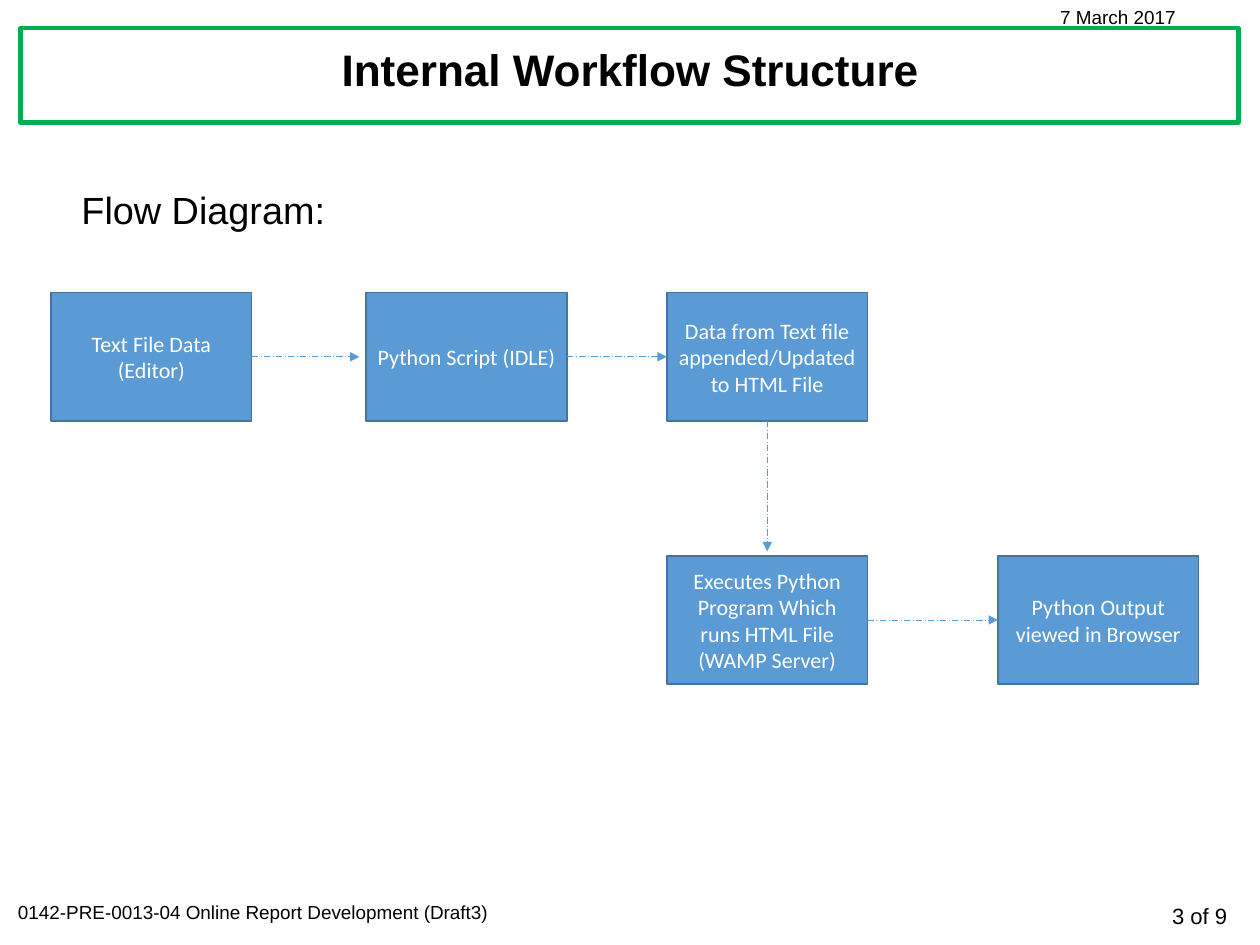
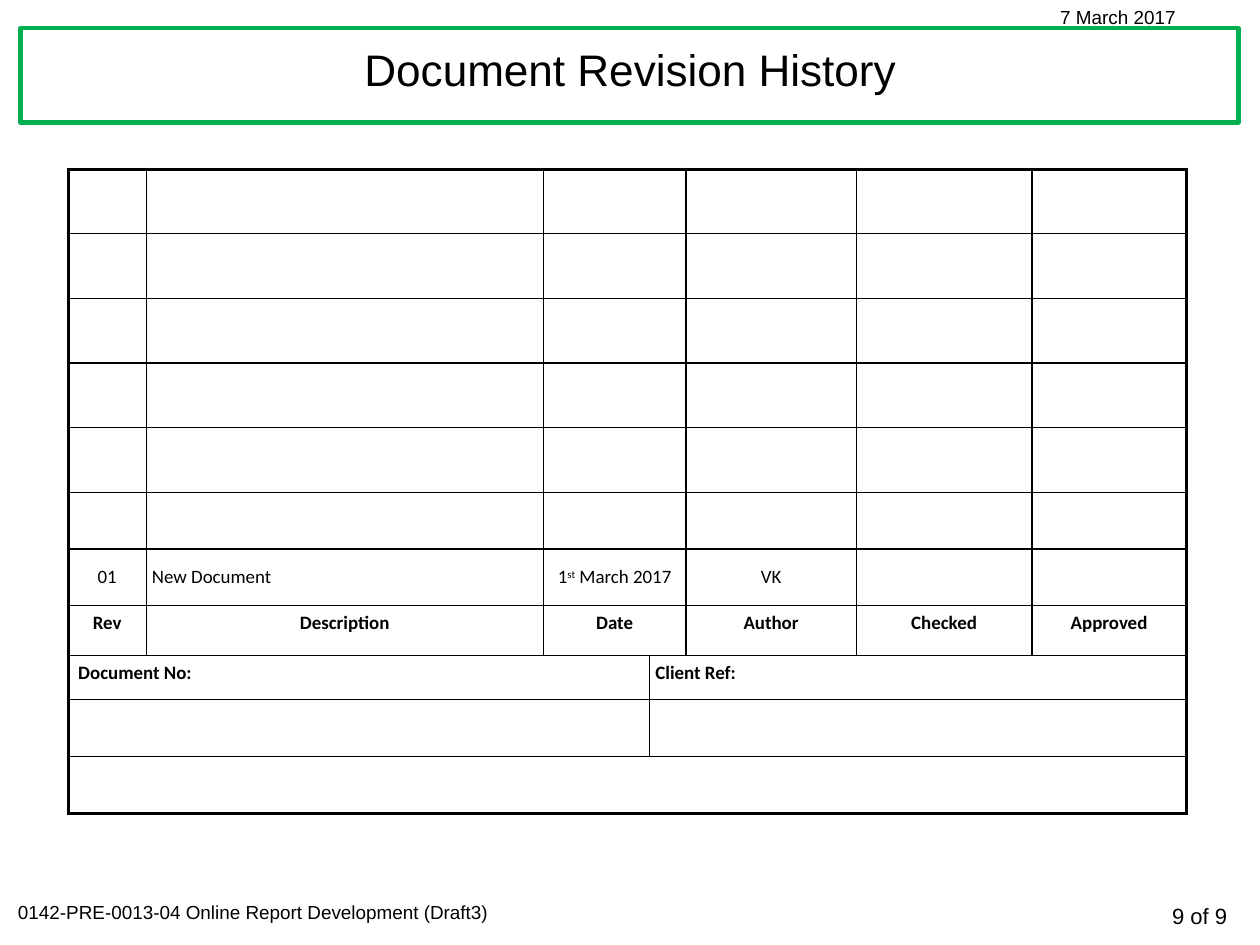
from lxml import etree
from pptx import Presentation
from pptx.dml.color import RGBColor
from pptx.enum.dml import MSO_LINE
from pptx.enum.shapes import MSO_CONNECTOR, MSO_SHAPE
from pptx.enum.text import MSO_ANCHOR, PP_ALIGN
from pptx.oxml import parse_xml
from pptx.oxml.ns import nsdecls, qn
from pptx.util import Inches, Pt

BLACK, WHITE = "000000", "FFFFFF"
GREEN, BLUE, DARK_BLUE = "00B050", "5B9BD5", "43739E"
LEFT, CENTER, RIGHT = PP_ALIGN.LEFT, PP_ALIGN.CENTER, PP_ALIGN.RIGHT
TITLE_ONLY = 5
rgb = RGBColor.from_string


def write(text_frame, text, size=12, font="Arial", color=BLACK, bold=False,
          align=LEFT, anchor=MSO_ANCHOR.TOP, superscript=False):
    """Append a formatted run to the first paragraph of a text frame."""
    text_frame.vertical_anchor = anchor
    paragraph = text_frame.paragraphs[0]
    paragraph.alignment = align
    run = paragraph.add_run()
    run.text = text
    run.font.size = Pt(size)
    run.font.name = font
    run.font.bold = bold
    run.font.color.rgb = rgb(color)
    if superscript:
        run.font._element.set("baseline", "30000")


def add_rectangle(slide, left, top, width, height, fill, line, line_width):
    shape = slide.shapes.add_shape(MSO_SHAPE.RECTANGLE, Inches(left), Inches(top),
                                   Inches(width), Inches(height))
    shape.shadow.inherit = False
    shape.fill.solid()
    shape.fill.fore_color.rgb = rgb(fill)
    shape.line.color.rgb = rgb(line)
    shape.line.width = Pt(line_width)
    return shape


presentation = Presentation()
presentation.slide_width = Inches(11.11)
presentation.slide_height = Inches(8.33)

# Title, frame, date and footers on every slide
slides = []
for title_text, bold, page in [("Internal Workflow Structure", True, 3),
                               ("Document Revision History", False, 9)]:
    slide = presentation.slides.add_slide(presentation.slide_layouts[TITLE_ONLY])
    slides.append(slide)
    title = slide.shapes.title
    title.left, title.top = Inches(0.21), Inches(0.22)
    title.width, title.height = Inches(10.69), Inches(0.83)
    write(title.text_frame, title_text, size=28, bold=bold, align=CENTER,
          anchor=MSO_ANCHOR.MIDDLE)
    title.text_frame.paragraphs[0].line_spacing = 0.9
    frame = add_rectangle(slide, 0.18, 0.25, 10.74, 0.83, WHITE, GREEN, 2.75)
    title.element.addprevious(frame.element)

    for text, left, top, width, height, size, align in [
        (f"{page} of 9", 9.4, 7.91, 1.52, 0.34, 14, RIGHT),
        ("0142-PRE-0013-04 Online Report Development (Draft3)",
         0.06, 7.89, 4.38, 0.3, 12, LEFT),
        ("7 March 2017", 9.25, 0, 1.68, 0.3, 12, LEFT),
    ]:
        label = slide.shapes.add_textbox(Inches(left), Inches(top),
                                         Inches(width), Inches(height))
        label.text_frame.word_wrap = True
        write(label.text_frame, text, size=size, align=align)

flow_slide, history_slide = slides

# Flow diagram
heading = flow_slide.shapes.add_textbox(Inches(0.62), Inches(1.6),
                                        Inches(2.37), Inches(0.5))
heading.text_frame.word_wrap = False
write(heading.text_frame, "Flow Diagram:", size=24)

BOX_WIDTH, BOX_HEIGHT = 1.77, 1.13
TOP_ROW, BOTTOM_ROW = 2.58, 4.9
TEXT_FILE, SCRIPT, HTML, BROWSER = 0.45, 3.23, 5.88, 8.8
for text, left, top in [
    ("Text File Data (Editor)", TEXT_FILE, TOP_ROW),
    ("Python Script (IDLE)", SCRIPT, TOP_ROW),
    ("Data from Text file appended/Updated to HTML File", HTML, TOP_ROW),
    ("Executes Python Program Which runs HTML File (WAMP Server)", HTML, BOTTOM_ROW),
    ("Python Output viewed in Browser", BROWSER, BOTTOM_ROW),
]:
    box = add_rectangle(flow_slide, left, top, BOX_WIDTH, BOX_HEIGHT, BLUE, DARK_BLUE, 1)
    box.text_frame.word_wrap = True
    write(box.text_frame, text, size=14, font="Calibri", color=WHITE,
          align=CENTER, anchor=MSO_ANCHOR.MIDDLE)

top_middle = TOP_ROW + BOX_HEIGHT / 2
bottom_middle = BOTTOM_ROW + BOX_HEIGHT / 2
html_center = HTML + BOX_WIDTH / 2
for start_x, start_y, end_x, end_y in [
    (TEXT_FILE + BOX_WIDTH, top_middle, SCRIPT - 0.06, top_middle),
    (SCRIPT + BOX_WIDTH, top_middle, HTML, top_middle),
    (html_center, TOP_ROW + BOX_HEIGHT, html_center, BOTTOM_ROW - 0.04),
    (HTML + BOX_WIDTH, bottom_middle, BROWSER, bottom_middle),
]:
    arrow = flow_slide.shapes.add_connector(
        MSO_CONNECTOR.STRAIGHT, Inches(start_x), Inches(start_y),
        Inches(end_x), Inches(end_y))
    arrow.line.color.rgb = rgb(BLUE)
    arrow.line.width = Pt(0.5)
    arrow.line.dash_style = MSO_LINE.LONG_DASH_DOT
    etree.SubElement(arrow.line._get_or_add_ln(), qn("a:tailEnd"), type="triangle")
    etree.SubElement(arrow.element.spPr, qn("a:effectLst"))

# Revision table
column_widths = [0.69, 3.5, 0.94, 0.32, 1.5, 1.55, 1.36]
row_heights = [0.57] * 5 + [0.5, 0.5, 0.44, 0.39, 0.5, 0.5]
last_row, last_column = len(row_heights) - 1, len(column_widths) - 1
ENTRY, HEADER, REFERENCE = 6, 7, 8

table = history_slide.shapes.add_table(
    len(row_heights), len(column_widths), Inches(0.6), Inches(1.49),
    Inches(sum(column_widths)), Inches(sum(row_heights))).table
table.first_row = False
table.horz_banding = False
for column, width in zip(table.columns, column_widths):
    column.width = Inches(width)
for row, height in zip(table.rows, row_heights):
    row.height = Inches(height)

merges = [(row, 2, 3) for row in range(REFERENCE)]
for row in (REFERENCE, REFERENCE + 1):
    merges += [(row, 0, 2), (row, 3, last_column)]
merges.append((last_row, 0, last_column))
for row, first, last in merges:
    table.cell(row, first).merge(table.cell(row, last))

for row in range(last_row + 1):
    for column in range(last_column + 1):
        cell = table.cell(row, column)
        cell.margin_left = cell.margin_right = Inches(0.05)
        cell.margin_top = cell.margin_bottom = Inches(0.05)
        cell_end = column + (cell.span_width if cell.is_merge_origin else 1) - 1
        properties = cell._tc.get_or_add_tcPr()
        for side, is_outer in [("L", column == 0), ("R", cell_end == last_column),
                               ("T", row == 0), ("B", row == last_row)]:
            width = Pt(2.25 if is_outer else 1)
            properties.append(parse_xml(
                f'<a:ln{side} {nsdecls("a")} w="{width}"><a:solidFill>'
                f'<a:srgbClr val="{BLACK}"/></a:solidFill></a:ln{side}>'))
        cell.fill.background()

for column, text, align in [(0, "01", CENTER), (1, "New Document", LEFT),
                            (2, "1", CENTER), (4, "VK", CENTER)]:
    write(table.cell(ENTRY, column).text_frame, text, font="Calibri", align=align)
date_cell = table.cell(ENTRY, 2)
write(date_cell.text_frame, "st", font="Calibri", align=CENTER, superscript=True)
write(date_cell.text_frame, " March 2017", font="Calibri", align=CENTER)
for column in range(last_column + 1):
    table.cell(ENTRY, column).vertical_anchor = MSO_ANCHOR.MIDDLE

for row, column, text, align in [
    (HEADER, 0, "Rev", CENTER),
    (HEADER, 1, "Description", CENTER),
    (HEADER, 2, "Date", CENTER),
    (HEADER, 4, "Author", CENTER),
    (HEADER, 5, "Checked", CENTER),
    (HEADER, 6, "Approved", CENTER),
    (REFERENCE, 0, "Document No:", LEFT),
    (REFERENCE, 3, "Client Ref:", LEFT),
]:
    write(table.cell(row, column).text_frame, text, font="Calibri", bold=True, align=align)
table.cell(REFERENCE, 0).margin_left = Inches(0.09)

presentation.save("out.pptx")
